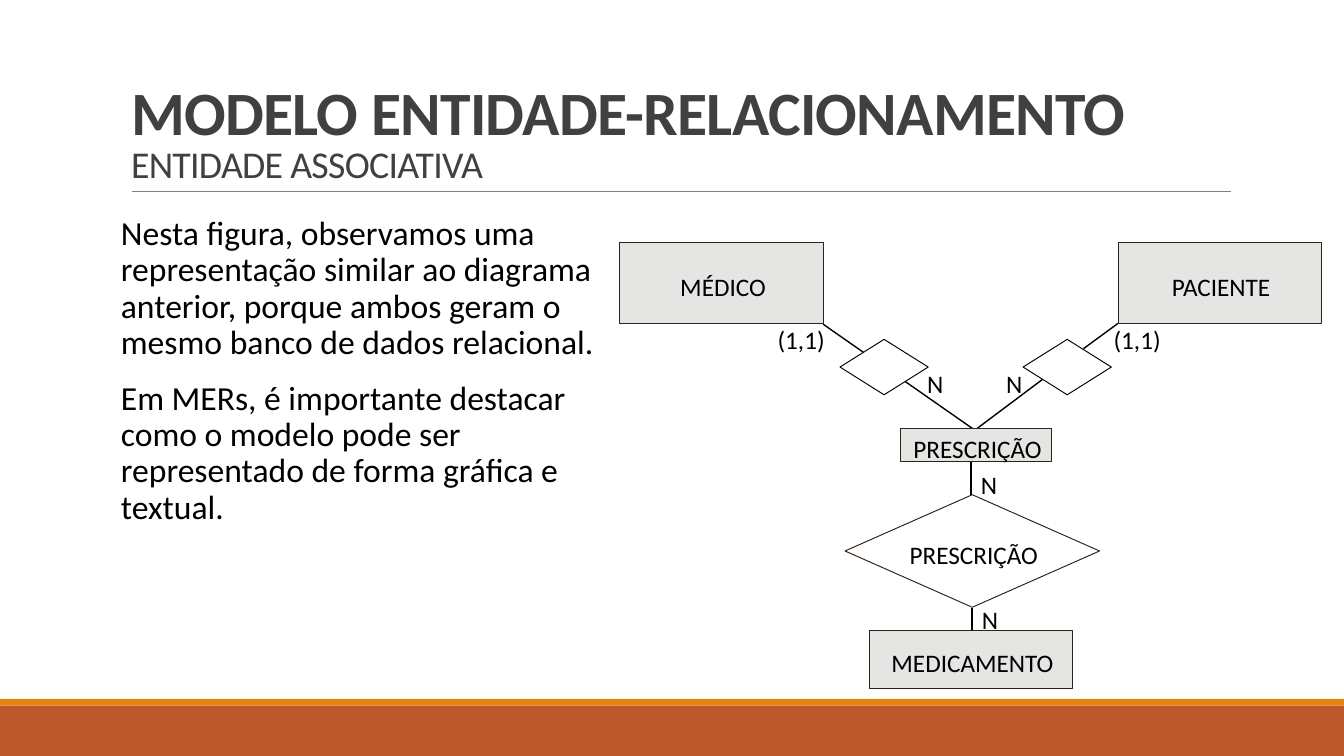
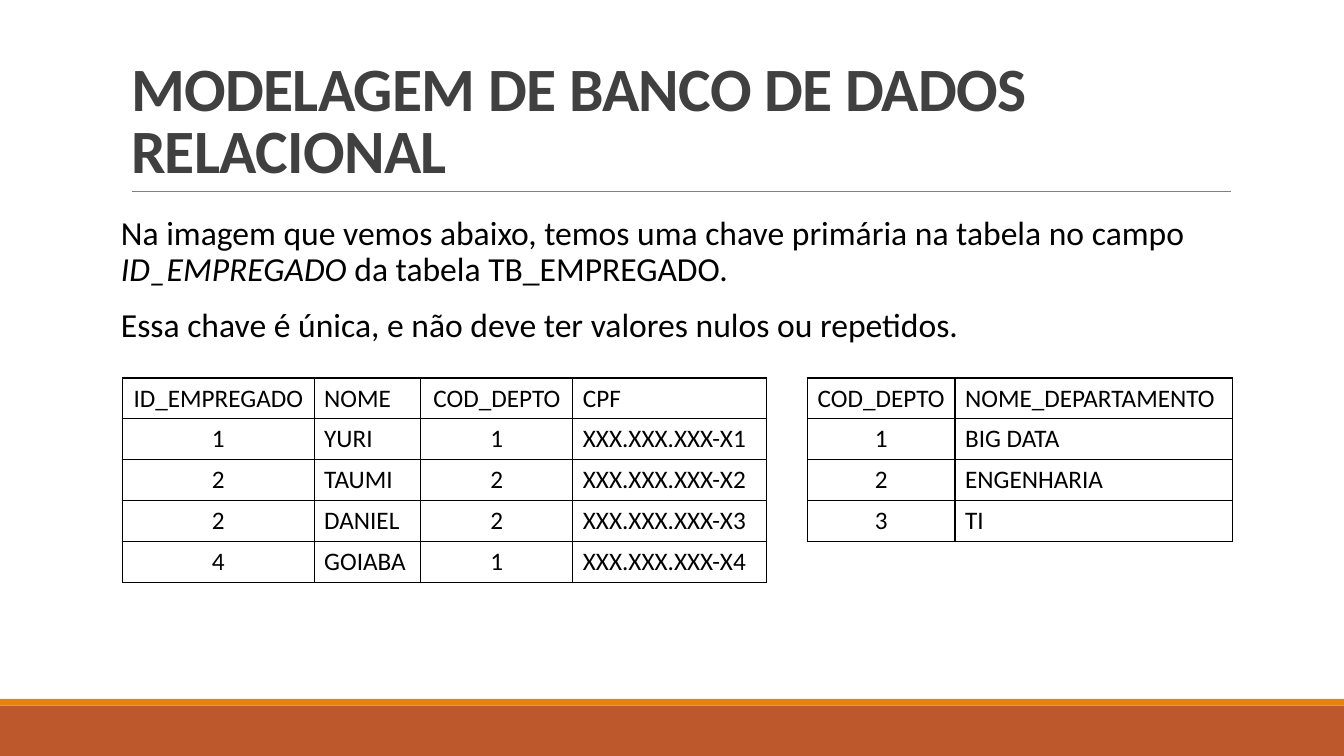
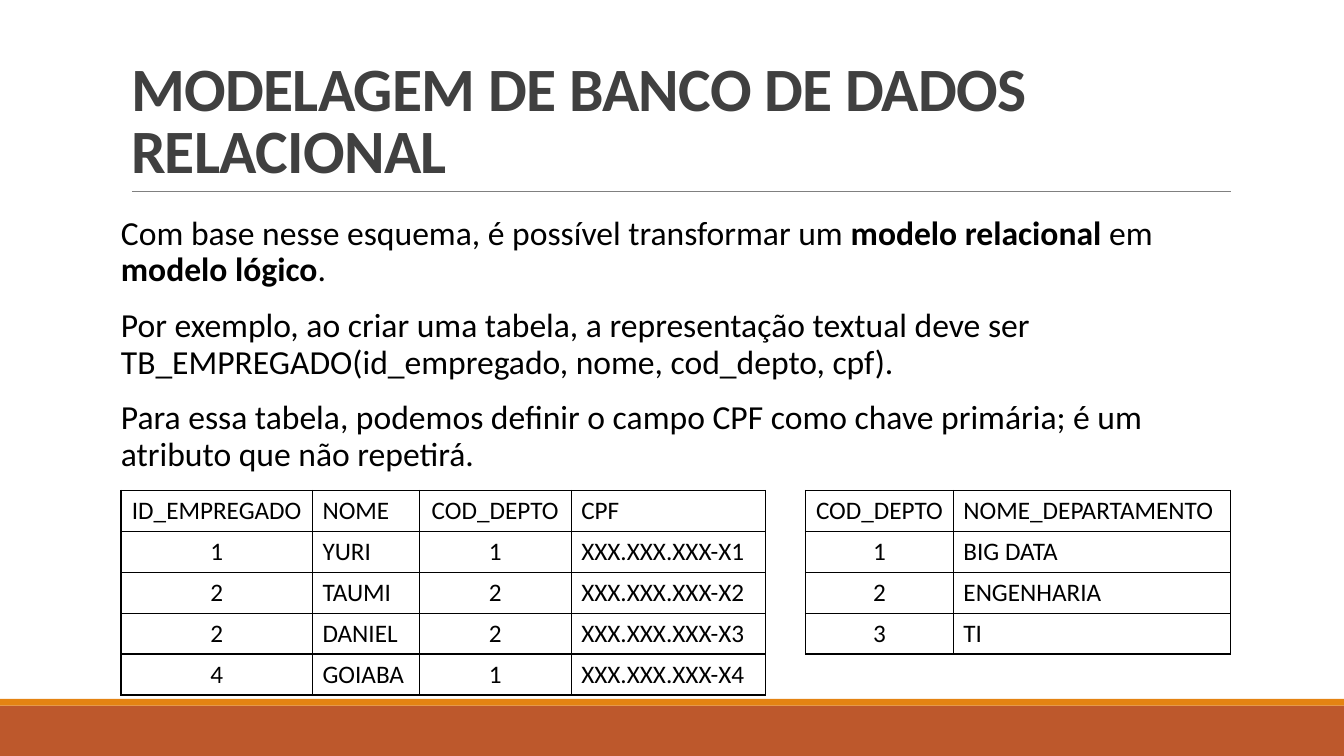
from dataclasses import dataclass

from lxml import etree
from pptx import Presentation
from pptx import util as u
from pptx.dml.color import RGBColor
from pptx.enum import shapes, text
from pptx.oxml.ns import qn

COLS, ROWS = 160, 90  # square cells, twelve to the inch
CELL = u.Inches(1) // 12


@dataclass(frozen=True)
class Theme:
    font: str = "Calibri"
    ink: str = "000000"
    title: str = "404040"
    paper: str = "FFFFFF"
    band: str = "BD582C"
    accent: str = "E48312"
    rule: str = "808080"
    entity: str = "E5E5E4"
    outline: str = "2F2115"
    title_pt: int = 44
    subtitle_pt: int = 27
    body_pt: int = 24
    label_pt: int = 18


def grid(*cells):
    return [round(c * CELL) for c in cells]


def rgb(value):
    return RGBColor.from_string(value)


def assign(obj, **values):
    for name, value in values.items():
        setattr(obj, name, value)


class Deck:
    """Holds the style and the slide being drawn."""

    LEFT, WIDTH = 14.4, 132
    BOLD, ITALIC = {"bold": True}, {"italic": True}
    ALIGN = {"l": text.PP_ALIGN.LEFT, "c": text.PP_ALIGN.CENTER}

    def __init__(self, theme):
        self.t = theme
        self.prs = Presentation()
        assign(self.prs, slide_width=COLS * CELL, slide_height=ROWS * CELL)
        self.layout = self.prs.slide_layouts[5]
        self.s = None

    # Slides and what they share
    def slide(self, title, subtitle=None):
        first = self.s is None
        if first:
            self.clear_layout()
        self.s = self.prs.slides.add_slide(self.layout)
        if first:
            self.frame()
        self.title(title, subtitle)

    def clear_layout(self):
        for ph in list(self.layout.placeholders):
            if ph.placeholder_format.idx:
                ph.element.getparent().remove(ph.element)

    def frame(self):
        """Draw bands and title rule, then hand them to the layout."""
        parts = [
            self.shape("RECTANGLE", (0, 84, COLS, 6), self.t.band),
            self.shape("RECTANGLE", (0, 83.2, COLS, 0.8), self.t.accent),
            self.line(15.7, 22.8, 146.5, 22.8, self.t.rule, 0.5),
        ]
        for part in parts:
            self.layout.shapes.element.append(part.element)

    # Text
    def run(self, p, words, size, color=None, **style):
        r = p.add_run()
        r.text = words
        assign(r.font, name=self.t.font, size=u.Pt(size), **style)
        r.font.color.rgb = rgb(color or self.t.ink)
        return r

    def title(self, words, subtitle):
        sp = self.s.shapes.title
        left, top, width, height = grid(self.LEFT, 3.7, self.WIDTH, 19.1)
        assign(sp, left=left, top=top, width=width, height=height)
        tf = sp.text_frame
        assign(tf, word_wrap=True, auto_size=text.MSO_AUTO_SIZE.NONE,
               vertical_anchor=text.MSO_ANCHOR.BOTTOM)
        p = tf.paragraphs[0]
        assign(p, alignment=self.ALIGN["l"], line_spacing=0.85)
        runs = [self.run(p, words, self.t.title_pt, self.t.title, bold=True)]
        if subtitle:
            p.add_line_break()
            runs.append(self.run(p, subtitle, self.t.subtitle_pt,
                                 self.t.title, bold=False))
        for r in runs:
            r.font._element.set("spc", "-50")

    def body(self, *paragraphs, width=WIDTH):
        """Each paragraph is a string or a list of (words, style) runs."""
        sp = self.s.shapes.add_textbox(*grid(self.LEFT, 25.2, width, 57.5))
        self.paint(sp, self.t.paper, self.t.paper, 1.25)
        tf = sp.text_frame
        assign(tf, word_wrap=True, margin_left=0, margin_right=0)
        for i, runs in enumerate(paragraphs):
            p = tf.add_paragraph() if i else tf.paragraphs[0]
            assign(p, line_spacing=0.9, space_before=u.Pt(12 if i else 0),
                   space_after=u.Pt(2))
            for words, style in [(runs, {})] if isinstance(runs, str) else runs:
                self.run(p, words, self.t.body_pt, **style)

    def label(self, x, y, words):
        sp = self.s.shapes.add_textbox(*grid(x, y, 2 + 2 * len(words), 4.8))
        sp.text_frame.word_wrap = False
        self.run(sp.text_frame.paragraphs[0], words, self.t.label_pt)

    # Shapes and lines
    def paint(self, sp, fill, line, width):
        if fill:
            sp.fill.solid()
            sp.fill.fore_color.rgb = rgb(fill)
        else:
            sp.fill.background()
        if line:
            sp.line.color.rgb = rgb(line)
            sp.line.width = u.Pt(width)
        else:
            sp.line.fill.background()

    def shape(self, kind, box, fill=None, line=None, words=None):
        sp = self.s.shapes.add_shape(shapes.MSO_SHAPE[kind], *grid(*box))
        sp.shadow.inherit = False
        self.paint(sp, fill, line, 0.67)
        if words:
            tf = sp.text_frame
            assign(tf, word_wrap=False, margin_top=u.Inches(0.06),
                   margin_bottom=0, margin_left=u.Inches(0.03), margin_right=0,
                   vertical_anchor=text.MSO_ANCHOR.MIDDLE)
            tf.paragraphs[0].alignment = self.ALIGN["c"]
            self.run(tf.paragraphs[0], words, self.t.label_pt)
        return sp

    def line(self, x1, y1, x2, y2, color=None, width=1):
        c = self.s.shapes.add_connector(
            shapes.MSO_CONNECTOR.STRAIGHT, *grid(x1, y1, x2, y2))
        c.line.color.rgb = rgb(color or self.t.ink)
        c.line.width = u.Pt(width)
        etree.SubElement(c.element.spPr, qn("a:effectLst"))
        return c

    # Tables
    def table(self, x, y, widths, aligns, rows, row_height=4.87):
        tbl = self.s.shapes.add_table(
            len(rows), len(widths),
            *grid(x, y, sum(widths), row_height * len(rows))).table
        assign(tbl, first_row=False, horz_banding=False)
        for col, width in zip(tbl.columns, grid(*widths)):
            col.width = width
        for i, row in enumerate(rows):
            for j, words in enumerate(row):
                cell = tbl.cell(i, j)
                self.borders(cell)
                cell.fill.background()
                p = cell.text_frame.paragraphs[0]
                p.alignment = self.ALIGN[aligns[j]]
                self.run(p, words, self.t.label_pt)

    def borders(self, cell):
        tc_pr = cell._tc.get_or_add_tcPr()
        for side in "LRTB":
            ln = etree.SubElement(tc_pr, qn("a:ln" + side), w=str(u.Pt(1)))
            fill = etree.SubElement(ln, qn("a:solidFill"))
            etree.SubElement(fill, qn("a:srgbClr"), val=self.t.ink)


EMPLOYEES = [
    ("ID_EMPREGADO", "NOME", "COD_DEPTO", "CPF"),
    ("1", "YURI", "1", "XXX.XXX.XXX-X1"),
    ("2", "TAUMI", "2", "XXX.XXX.XXX-X2"),
    ("2", "DANIEL", "2", "XXX.XXX.XXX-X3"),
    ("4", "GOIABA", "1", "XXX.XXX.XXX-X4"),
]
DEPARTMENTS = [
    ("COD_DEPTO", "NOME_DEPARTAMENTO"),
    ("1", "BIG DATA"),
    ("2", "ENGENHARIA"),
    ("3", "TI"),
]


def employee_tables(deck, x, y):
    widths, gap = (22.8, 12.7, 18.1, 23.1), 4.8
    deck.table(x, y, widths, "clcl", EMPLOYEES)
    deck.table(x + sum(widths) + gap, y, (17.6, 33), "cl", DEPARTMENTS)


def er_diagram(deck):
    t = deck.t
    # Links lie beneath the shapes they join
    for ends in [(98, 38.6, 115.9, 51.1), (116.2, 51.1, 124.2, 45.1),
                 (129, 41.5, 133.1, 38.5), (115.6, 53.5, 115.6, 58.9),
                 (115.7, 72.4, 115.7, 75.1)]:
        deck.line(*ends)
    # Entities
    for words, box in [("MÉDICO", (73.8, 28.9, 24.2, 9.6)),
                       ("PACIENTE", (133.1, 28.9, 24.2, 9.6)),
                       ("PRESCRIÇÃO", (107.2, 51, 18, 4)),
                       ("MEDICAMENTO", (103.5, 75.1, 24.2, 6.9))]:
        deck.shape("RECTANGLE", box, t.entity, t.outline, words)
    # Relationships
    for x in (100, 121.8):
        deck.shape("DIAMOND", (x, 40.4, 10.5, 6.6), t.paper, t.ink)
    deck.shape("DIAMOND", (100.6, 58.9, 30.3, 13.4), None, t.outline,
               "PRESCRIÇÃO")
    # Cardinalities
    for x, y, words in [(91.4, 38, "(1,1)"), (131.4, 38, "(1,1)"),
                        (109.2, 43.2, "N"), (118.6, 43.2, "N"),
                        (115.6, 55.3, "N"), (115.7, 71.3, "N")]:
        deck.label(x, y, words)


def main():
    deck = Deck(Theme())
    relational = "MODELAGEM DE BANCO DE DADOS RELACIONAL"

    # Associative entity
    deck.slide("MODELO ENTIDADE-RELACIONAMENTO", "ENTIDADE ASSOCIATIVA")
    deck.body(
        "Nesta figura, observamos uma representação similar ao diagrama "
        "anterior, porque ambos geram o mesmo banco de dados relacional.",
        "Em MERs, é importante destacar como o modelo pode ser representado "
        "de forma gráfica e textual.",
        width=59.3)
    er_diagram(deck)

    # Primary key
    deck.slide(relational)
    deck.body(
        [("Na imagem que vemos abaixo, temos uma chave primária na tabela "
          "no campo ", {}),
         ("ID_EMPREGADO", deck.ITALIC),
         (" da tabela TB_EMPREGADO.", {})],
        "Essa chave é única, e não deve ter valores nulos ou repetidos.")
    employee_tables(deck, 14.6, 45)

    # Logical model
    deck.slide(relational)
    deck.body(
        [("Com base nesse esquema, é possível transformar um ", {}),
         ("modelo relacional ", deck.BOLD),
         ("em ", {}),
         ("modelo lógico", deck.BOLD),
         (".", {})],
        "Por exemplo, ao criar uma tabela, a representação textual deve ser "
        "TB_EMPREGADO(id_empregado, nome, cod_depto, cpf).",
        "Para essa tabela, podemos definir o campo CPF como chave primária; "
        "é um atributo que não repetirá.")
    employee_tables(deck, 14.4, 58.4)

    deck.prs.save("out.pptx")


if __name__ == "__main__":
    main()
